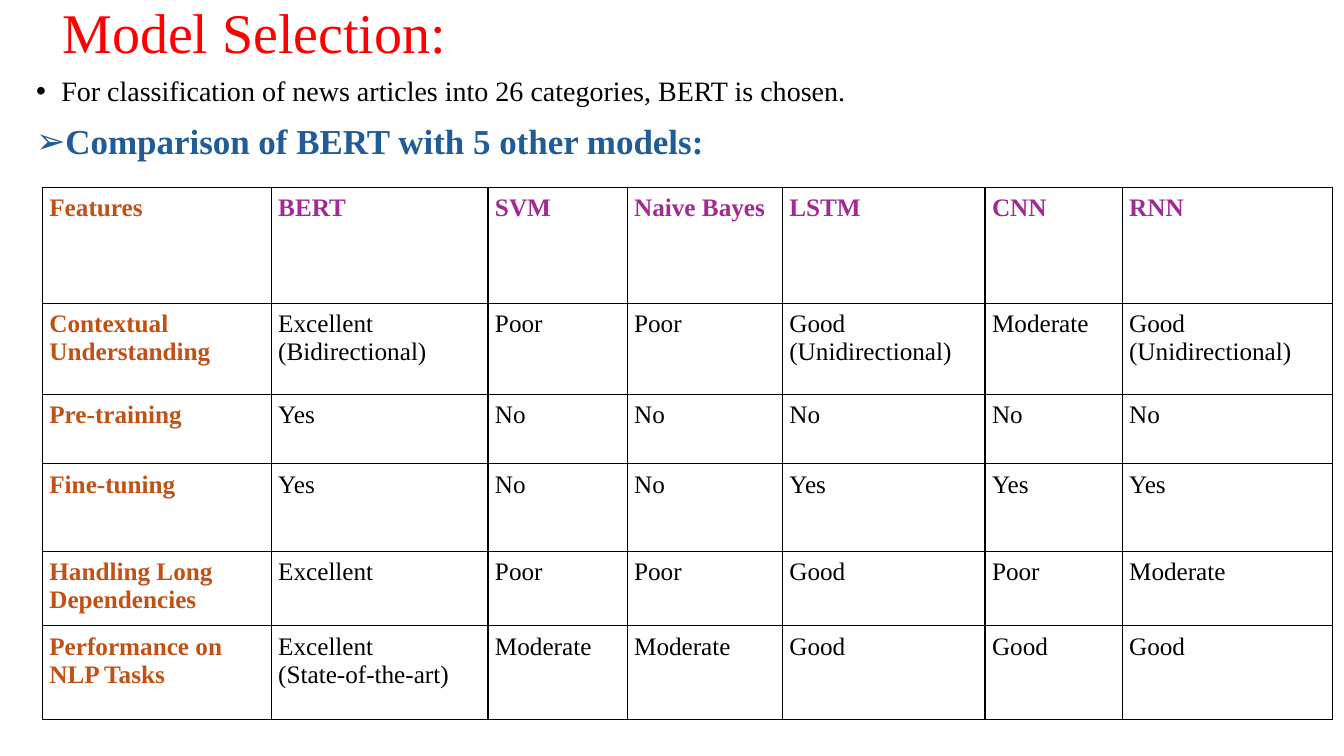
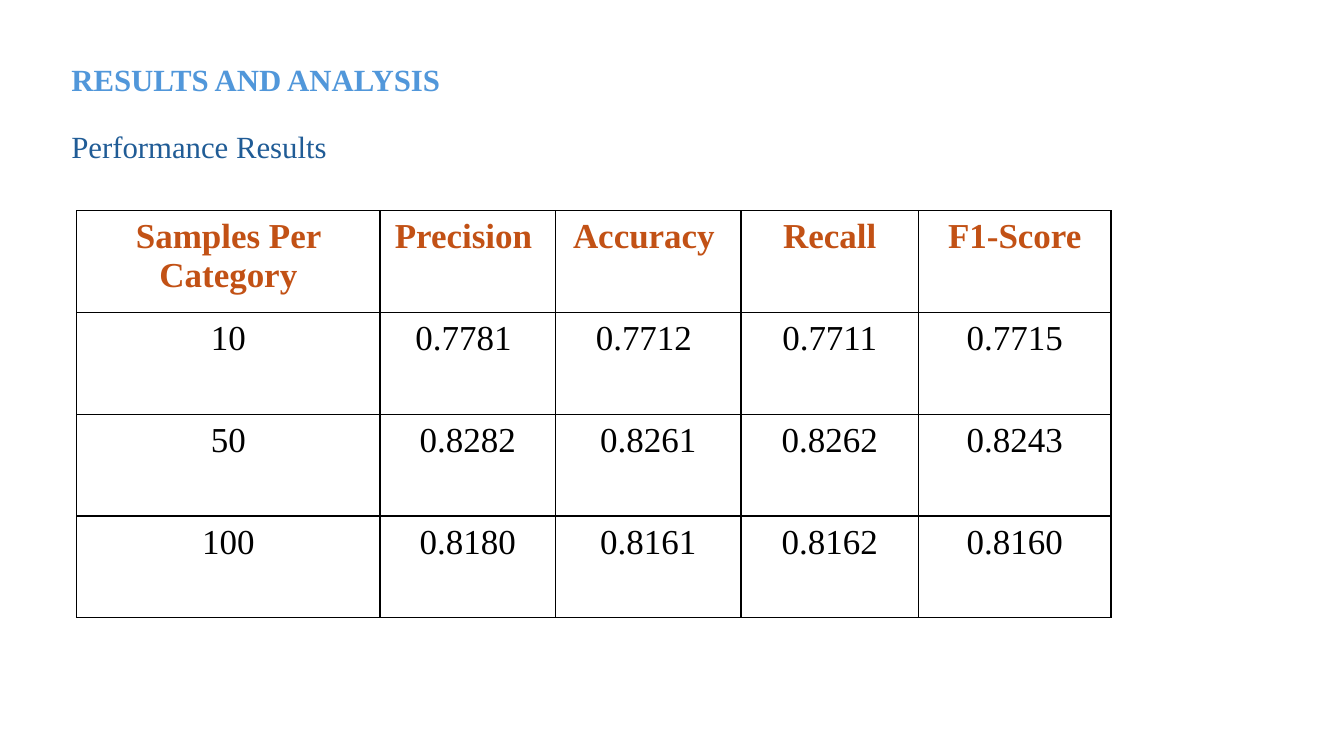
from lxml import etree
from pptx import Presentation
from pptx.dml.color import RGBColor
from pptx.enum.text import MSO_ANCHOR, PP_ALIGN
from pptx.oxml.ns import qn
from pptx.util import Emu, Pt

SCALE = 9144
FONT = "Times New Roman"
RED, BLACK = "FF0000", "000000"
NAVY, SKY = "205C96", "5197DA"
RUST, PURPLE = "C25115", "A02B93"
LEFT, CENTER = PP_ALIGN.LEFT, PP_ALIGN.CENTER
TOP, MIDDLE = MSO_ANCHOR.TOP, MSO_ANCHOR.MIDDLE
BORDER_WIDTH = Pt(1)
CELL_MARGIN = 7
BULLET_INDENT = 25

MODEL_ROWS = [
    ["Features", "BERT", "SVM", "Naive Bayes", "LSTM", "CNN", "RNN"],
    ["Contextual Understanding", "Excellent (Bidirectional)", "Poor", "Poor",
     "Good (Unidirectional)", "Moderate", "Good (Unidirectional)"],
    ["Pre-training", "Yes", "No", "No", "No", "No", "No"],
    ["Fine-tuning", "Yes", "No", "No", "Yes", "Yes", "Yes"],
    ["Handling Long Dependencies", "Excellent", "Poor", "Poor", "Good",
     "Poor", "Moderate"],
    ["Performance on NLP Tasks", "Excellent\n(State-of-the-art)", "Moderate",
     "Moderate", "Good", "Good", "Good"],
]
RESULT_ROWS = [
    ["Samples Per Category", "Precision ", "Accuracy ", "Recall", "F1-Score"],
    ["10", "0.7781 ", "0.7712 ", "0.7711", "0.7715"],
    ["50", "0.8282", "0.8261", "0.8262", "0.8243"],
    ["100", "0.8180", "0.8161", "0.8162", "0.8160"],
]


def px(length):
    """Turn whole pixels into EMU."""
    return Emu(length * SCALE)


def rgb(value):
    """Turn a hex string into a colour."""
    return RGBColor.from_string(value)


def set_all(target, values):
    """Set every attribute named in a dict of format values."""
    for name, value in values.items():
        setattr(target, name, value)


def write_span(para, text, size, color, bold=False):
    """Add one formatted run to a paragraph."""
    span = para.add_run()
    span.text = text
    set_all(span.font, {"name": FONT, "size": Pt(size), "bold": bold})
    span.font.color.rgb = rgb(color)


def add_bullet(para, mark):
    """Give a paragraph a hanging bullet."""
    properties = para._p.get_or_add_pPr()
    properties.set("marL", str(px(BULLET_INDENT)))
    properties.set("indent", str(-px(BULLET_INDENT)))
    etree.SubElement(properties, qn("a:buFont")).set("typeface", "Arial")
    etree.SubElement(properties, qn("a:buChar")).set("char", mark)


def add_text(page, box, lines, anchor=TOP, space_after=0):
    """Place a text box with one paragraph per line, optionally bulleted."""
    frame = page.shapes.add_textbox(*map(px, box)).text_frame
    set_all(frame, {"word_wrap": True, "vertical_anchor": anchor})
    for index, (mark, *style) in enumerate(lines):
        para = frame.add_paragraph() if index else frame.paragraphs[0]
        last = index == len(lines) - 1
        set_all(para, {"line_spacing": 0.9, "alignment": LEFT,
                       "space_after": Pt(0 if last else space_after)})
        if mark:
            add_bullet(para, mark)
        write_span(para, *style)


def add_borders(cell):
    """Draw a thin black line on all four sides of a cell."""
    properties = cell._tc.get_or_add_tcPr()
    for side in ("a:lnL", "a:lnR", "a:lnT", "a:lnB"):
        line = etree.SubElement(properties, qn(side), w=str(BORDER_WIDTH))
        fill = etree.SubElement(line, qn("a:solidFill"))
        etree.SubElement(fill, qn("a:srgbClr")).set("val", BLACK)


def add_grid(page, origin, widths, heights, rows, size, style_of, alignment):
    """Place a bordered table, with cell colour and weight given by a rule."""
    box = (*origin, sum(widths), sum(heights))
    table = page.shapes.add_table(len(rows), len(widths), *map(px, box)).table
    set_all(table, {"first_row": False, "horz_banding": False})
    for column, width in zip(table.columns, widths):
        column.width = px(width)
    for row, height in zip(table.rows, heights):
        row.height = px(height)
    margins = {f"margin_{side}": px(CELL_MARGIN)
               for side in ("left", "right", "top", "bottom")}
    for i, texts in enumerate(rows):
        for j, text in enumerate(texts):
            cell = table.cell(i, j)
            set_all(cell, margins)
            add_borders(cell)
            cell.fill.background()
            for index, line in enumerate(text.split("\n")):
                frame = cell.text_frame
                para = frame.add_paragraph() if index else frame.paragraphs[0]
                para.alignment = alignment
                write_span(para, line, size, *style_of(i, j))


def model_style(row, column):
    """Colour feature names rust and model names purple."""
    if column == 0:
        return RUST, True
    return (BLACK, False) if row else (PURPLE, True)


def result_style(row, column):
    """Colour the heading row rust."""
    return (BLACK, False) if row else (RUST, True)


def model_page(page):
    """Build the model selection slide."""
    add_text(page, (52, 0, 1150, 71),
             [(None, "Model Selection:", 40, RED)], MIDDLE)
    add_text(page, (26, 72, 1150, 100), [
        ("•", "For classification of news articles into 26 categories, "
              "BERT is chosen.", 20, BLACK),
        ("➢", "Comparison of BERT with 5 other models:", 25, NAVY, True),
    ], space_after=12)
    add_grid(page, (42, 186), [227, 215, 138, 154, 201, 136, 209],
             [115, 90, 69, 87, 69, 93], MODEL_ROWS, 18, model_style, LEFT)


def results_page(page):
    """Build the results slide."""
    add_text(page, (61, 42, 1150, 145), [
        (None, "RESULTS AND ANALYSIS", 22, SKY, True),
        (None, "Performance Results", 22, NAVY),
    ], MIDDLE, space_after=24)
    add_grid(page, (76, 209), [301, 174, 184, 176, 191],
             [101] * len(RESULT_ROWS), RESULT_ROWS, 25, result_style, CENTER)


def main():
    """Build and save the deck."""
    deck = Presentation()
    set_all(deck, {"slide_width": px(1333), "slide_height": px(750)})
    for build in (model_page, results_page):
        build(deck.slides.add_slide(deck.slide_layouts[6]))
    deck.save("out.pptx")


if __name__ == "__main__":
    main()
